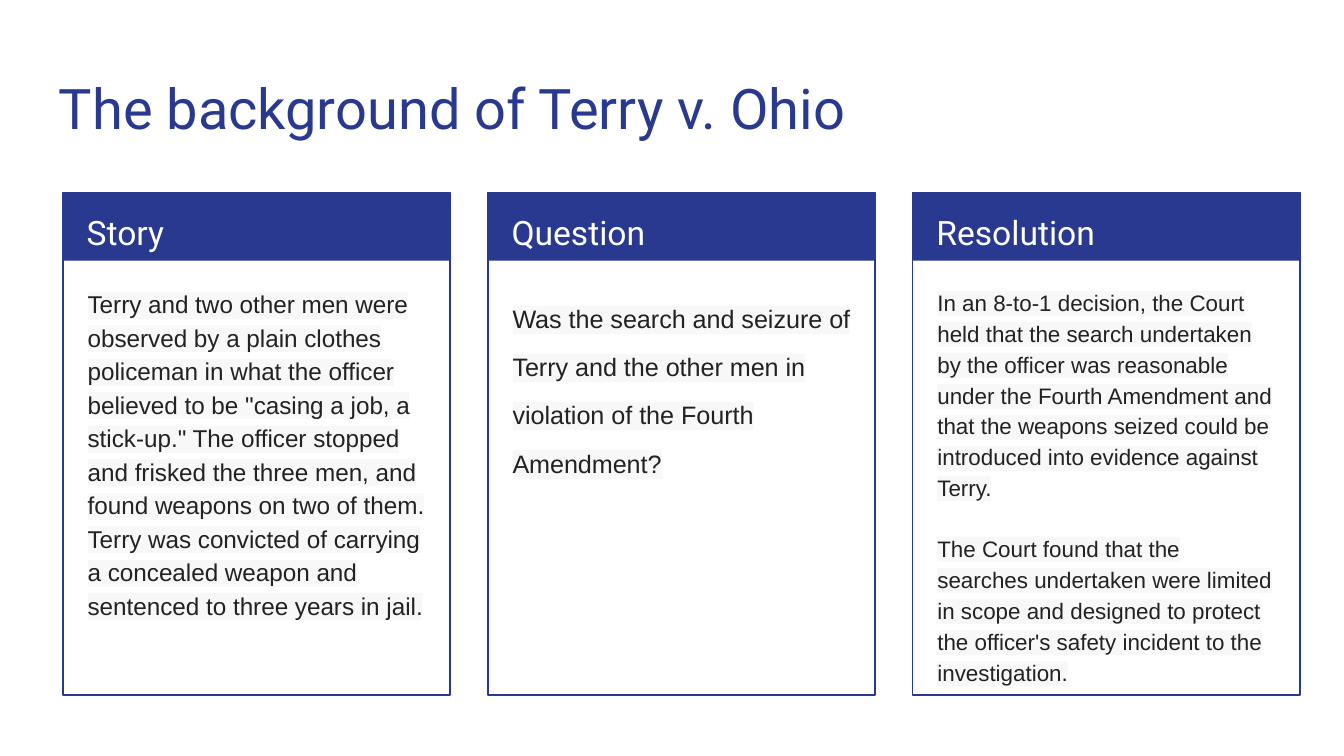
from lxml.etree import SubElement
from pptx import Presentation
from pptx.dml.color import RGBColor
from pptx.enum.shapes import MSO_SHAPE
from pptx.oxml.ns import qn
from pptx.util import Pt

COLORS = {"navy": "2A3990", "white": "FFFFFF", "ink": "222222", "highlight": "F8F8F8"}

COLUMNS = [
    ("Story", 13, 1.15, 0, [
        "Terry and two other men were observed by a plain clothes policeman in what "
        "the officer believed to be \"casing a job, a stick-up.\" The officer stopped "
        "and frisked the three men, and found weapons on two of them. Terry was "
        "convicted of carrying a concealed weapon and sentenced to three years in jail.",
    ]),
    ("Question", 13.5, 1.6, 0, [
        "Was the search and seizure of Terry and the other men in violation of the "
        "Fourth Amendment?",
    ]),
    ("Resolution", 12, 1.15, 16, [
        "In an 8-to-1 decision, the Court held that the search undertaken by the "
        "officer was reasonable under the Fourth Amendment and that the weapons "
        "seized could be introduced into evidence against Terry.",
        "The Court found that the searches undertaken were limited in scope and "
        "designed to protect the officer's safety incident to the investigation.",
    ]),
]


def rgb(name):
    """Return the named palette colour."""
    return RGBColor.from_string(COLORS[name])


def add_text(slide, box, paragraphs, size, font, color, spacing=1.0, gap=0, highlight=None):
    """Place wrapped paragraphs in a box, with a gap between them."""
    frame = slide.shapes.add_textbox(*map(Pt, box)).text_frame
    frame.word_wrap = True
    frame.margin_left = frame.margin_right = Pt(7.2)
    frame.margin_top = frame.margin_bottom = Pt(7.2)
    frame.text = "\n".join(paragraphs)
    for index, paragraph in enumerate(frame.paragraphs):
        paragraph.line_spacing = spacing
        paragraph.space_before = Pt(gap if index else 0)
        for run in paragraph.runs:
            run.font.size = Pt(size)
            run.font.name = font
            run.font.color.rgb = rgb(color)
            if highlight:
                properties = run.font._element
                marker = SubElement(properties, qn("a:highlight"))
                SubElement(marker, qn("a:srgbClr"), val=COLORS[highlight])
                properties.find(qn("a:solidFill")).addnext(marker)


def add_panel(slide, box, fill=None, line=None):
    """Draw a flat rectangle with an optional fill and outline."""
    panel = slide.shapes.add_shape(MSO_SHAPE.RECTANGLE, *map(Pt, box))
    panel.shadow.inherit = False
    if fill:
        panel.fill.solid()
        panel.fill.fore_color.rgb = rgb(fill)
    else:
        panel.fill.background()
    if line:
        panel.line.color.rgb = rgb(line)
        panel.line.width = Pt(0.75)
    else:
        panel.line.fill.background()


def add_column(slide, box, heading, size, spacing, gap, paragraphs):
    """Build one outlined column with a filled heading band and body text."""
    left, top, width, height = box
    add_panel(slide, (left, top, width, 36.7), fill="navy")
    add_panel(slide, box, line="navy")
    add_text(slide, (left + 5.6, top, width - 10.8, 36), [heading],
             18, "Roboto", "white", 1.15)
    add_text(slide, (left + 6.1, top + 42.5, width - 12.2, height - 49), paragraphs,
             size, "Arial", "ink", spacing, gap, "highlight")


def add_case_background(slide, box):
    """Lay out the case columns at an equal pitch across the box."""
    left, top, width, height = box
    column_width = 207.4
    pitch = (width - column_width) / (len(COLUMNS) - 1)
    for index, column in enumerate(COLUMNS):
        add_column(slide, (left + index * pitch, top, column_width, height), *column)


def main():
    """Create and save the presentation."""
    presentation = Presentation()
    presentation.slide_width = Pt(720)
    presentation.slide_height = Pt(405)
    slide = presentation.slides.add_slide(presentation.slide_layouts[6])
    add_text(slide, (24.5, 32.4, 671, 47.5), ["The background of Terry v. Ohio"],
             30, "Roboto", "navy")
    add_case_background(slide, (33.8, 103, 662.6, 269.3))
    presentation.save("out.pptx")


if __name__ == "__main__":
    main()
